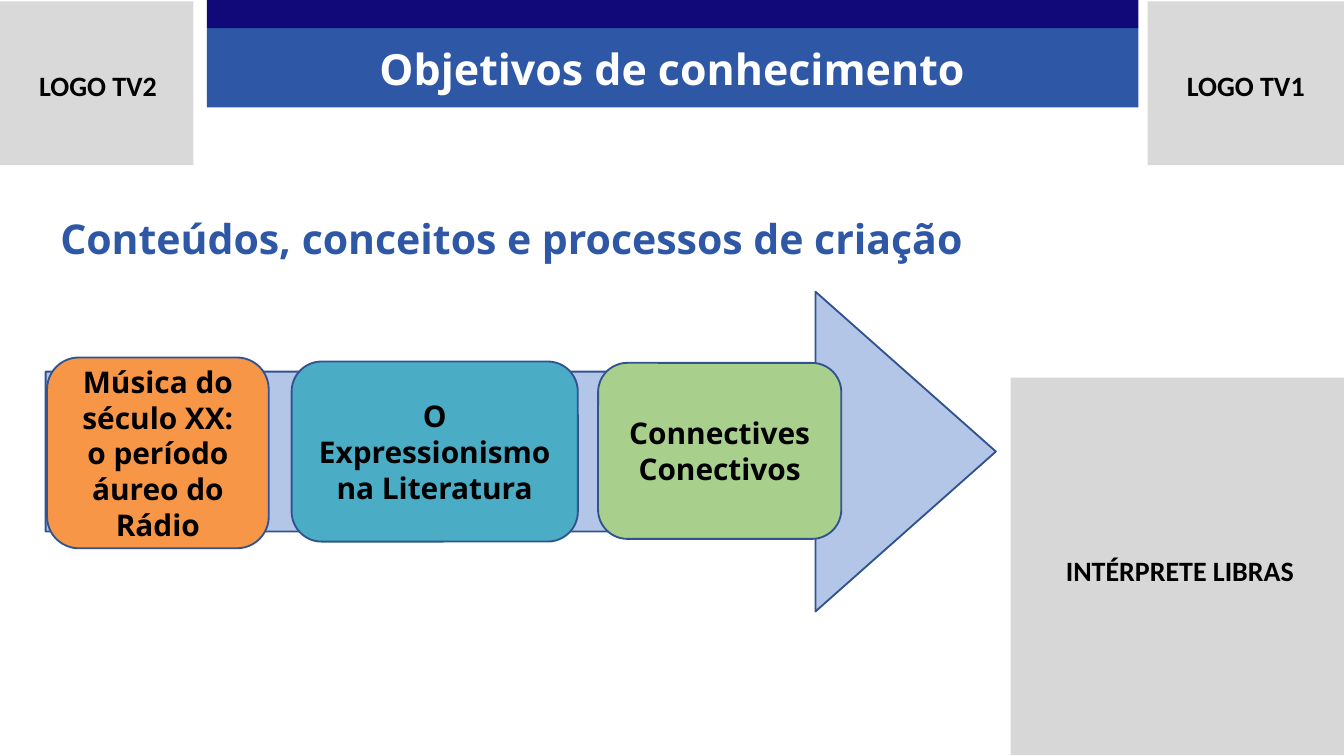
from dataclasses import dataclass

from lxml import etree
from pptx import Presentation
from pptx.dml.color import RGBColor
from pptx.enum import shapes, text
from pptx.oxml.ns import qn
from pptx.util import Inches, Pt


@dataclass(frozen=True)
class Theme:
    navy: str = "110979"
    blue: str = "2E58A6"
    outline: str = "31538F"
    arrow: str = "B3C6E7"
    orange: str = "F79646"
    teal: str = "4BACC6"
    green: str = "A8D08C"
    logo: str = "D9D9D9"
    signer: str = "BFBFBF"
    white: str = "FFFFFF"
    black: str = "000000"
    font: str = "Open Sans"
    label_font: str = "Calibri"
    title_size: int = 23
    heading_size: int = 22
    card_size: int = 16
    label_size: int = 15


T = Theme()
KIND = shapes.MSO_SHAPE
TOP, MIDDLE = text.MSO_ANCHOR.TOP, text.MSO_ANCHOR.MIDDLE
LEFT, CENTER = text.PP_ALIGN.LEFT, text.PP_ALIGN.CENTER


def write(sp, content, size, color=T.black, font=T.font, align=CENTER, anchor=MIDDLE):
    """Fill a shape with bold text, one paragraph per line (\\v breaks a line)."""
    tf = sp.text_frame
    tf.text = content
    tf.word_wrap = True
    tf.auto_size = text.MSO_AUTO_SIZE.NONE
    tf.vertical_anchor = anchor
    tf.margin_left = tf.margin_right = Inches(0.1)
    tf.margin_top = tf.margin_bottom = Inches(0.05)
    for p in tf.paragraphs:
        p.alignment = align
        p.line_spacing = 1.0
        p.space_before = Pt(0)
        for r in p.runs:
            r.font.name, r.font.size, r.font.bold = font, Pt(size), True
            r.font.color.rgb = RGBColor.from_string(color)


def add_box(s, kind, at, fill, line=None, opacity=None):
    sp = s.shapes.add_shape(kind, *map(Inches, at))
    sp.shadow.inherit = False
    sp.fill.solid()
    sp.fill.fore_color.rgb = RGBColor.from_string(fill)
    if opacity is not None:
        color = sp.fill._xPr.find(qn("a:solidFill"))[0]
        etree.SubElement(color, qn("a:alpha")).set("val", str(opacity * 1000))
    if line:
        sp.line.color.rgb = RGBColor.from_string(line)
        sp.line.width = Pt(1)
    else:
        sp.line.fill.background()
    return sp


def add_text(s, at, content, size, **style):
    write(s.shapes.add_textbox(*map(Inches, at)), content, size, **style)


def add_area(s, at, label_at, label, fill, opacity=None):
    """Grey reserved area with its label."""
    add_box(s, KIND.RECTANGLE, at, fill, opacity=opacity)
    add_text(s, label_at, label, T.label_size, font=T.label_font, anchor=TOP)


def add_title(s, content):
    """Two-tone banner with the title in front of it."""
    left, width = 1.54, 6.93
    add_box(s, KIND.RECTANGLE, (left, 0.21, width, 0.59), T.blue)
    add_box(s, KIND.RECTANGLE, (left, 0, width, 0.21), T.navy)
    title = s.shapes.title
    title.left, title.top, title.width, title.height = map(
        Inches, (left, 0.26, width, 0.49))
    write(title, content, T.title_size, color=T.white)
    s.shapes._spTree.append(title._element)


def add_process(s, cards):
    """Wide arrow with content cards on its shaft."""
    arrow = add_box(s, KIND.RIGHT_ARROW, (0.34, 2.17, 7.07, 2.38), T.arrow, T.outline)
    arrow.adjustments[0], arrow.adjustments[1] = 0.5, 0.564
    for at, fill, content in cards:
        card = add_box(s, KIND.ROUNDED_RECTANGLE, at, fill, T.outline)
        write(card, content, T.card_size)


def main():
    prs = Presentation()
    # 16:9 page
    prs.slide_width, prs.slide_height = Inches(10), Inches(10 * 9 / 16)
    s = prs.slides.add_slide(prs.slide_layouts[5])

    # Reserved areas
    add_area(s, (8.54, 0.01, 1.46, 1.22), (8.54, 0.46, 1.46, 0.35), "LOGO TV1", T.logo)
    add_area(s, (7.52, 2.81, 2.48, 2.81), (7.66, 4.07, 2.24, 0.82),
             "INTÉRPRETE LIBRAS", T.signer, opacity=61)
    add_area(s, (0, 0.01, 1.44, 1.22), (0, 0.46, 1.46, 0.35), "LOGO TV2", T.logo)

    # Title and heading
    add_title(s, "Objetivos de conhecimento")
    add_text(s, (0.35, 1.54, 8.58, 0.47), "Conteúdos, conceitos e processos de criação",
             T.heading_size, color=T.blue, align=LEFT)

    # Contents along the arrow
    add_process(s, [
        ((4.45, 2.7, 1.81, 1.31), T.green, "Connectives\nConectivos"),
        ((2.17, 2.69, 2.13, 1.34), T.teal, "O Expressionismo na Literatura"),
        ((0.35, 2.66, 1.65, 1.42), T.orange,
         "Música do século XX:\vo período áureo do Rádio"),
    ])
    prs.save("out.pptx")


if __name__ == "__main__":
    main()
